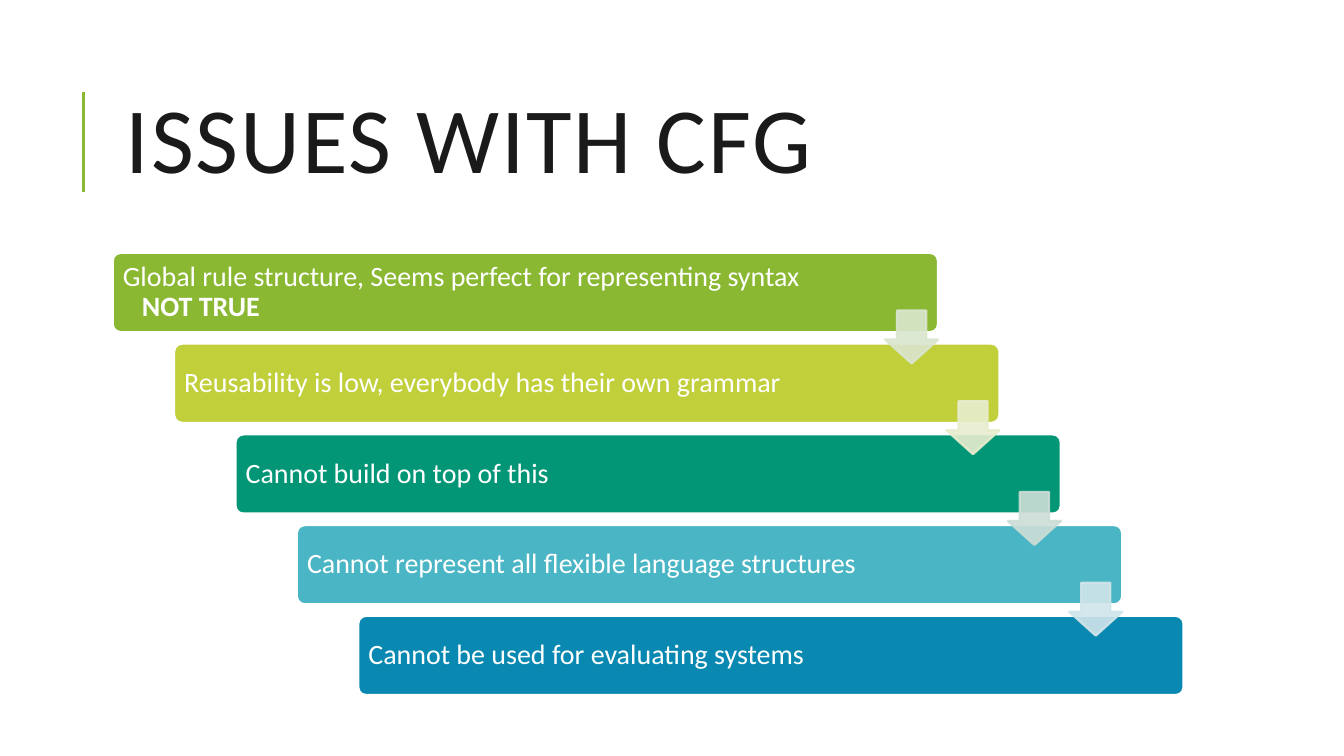
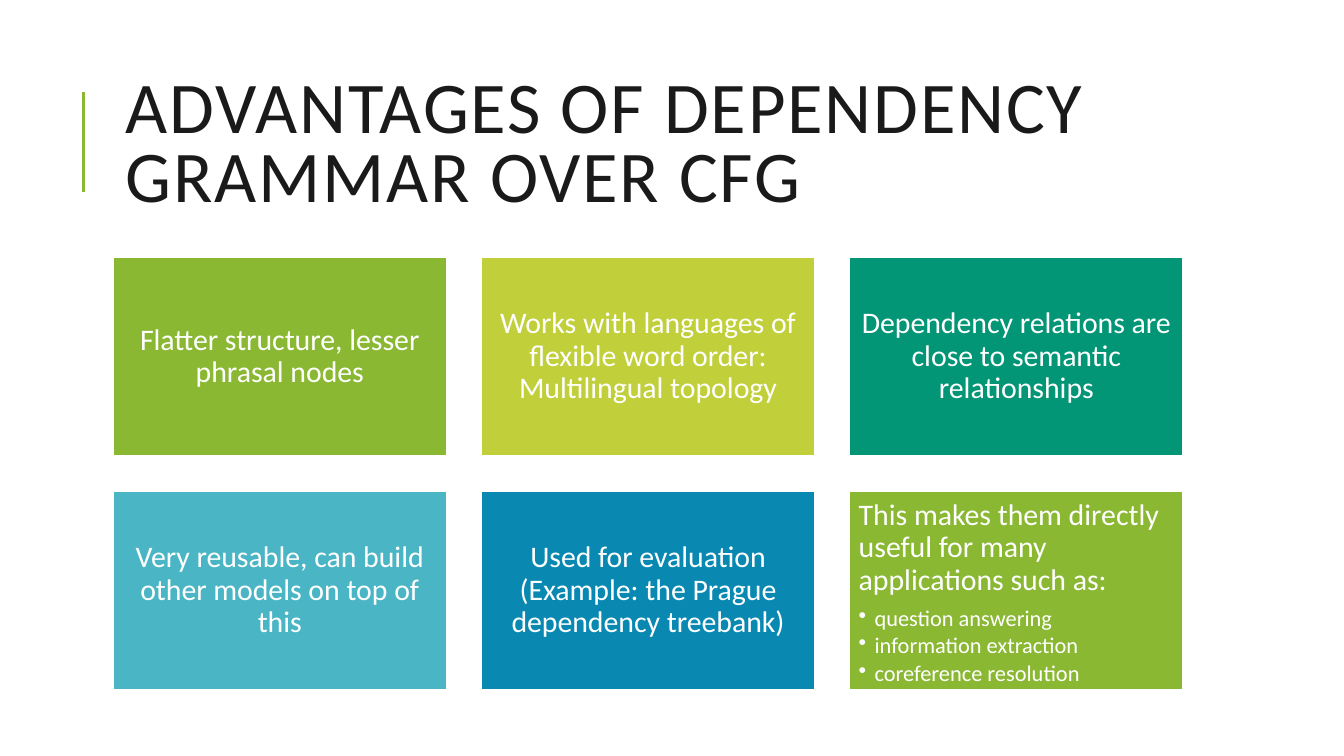
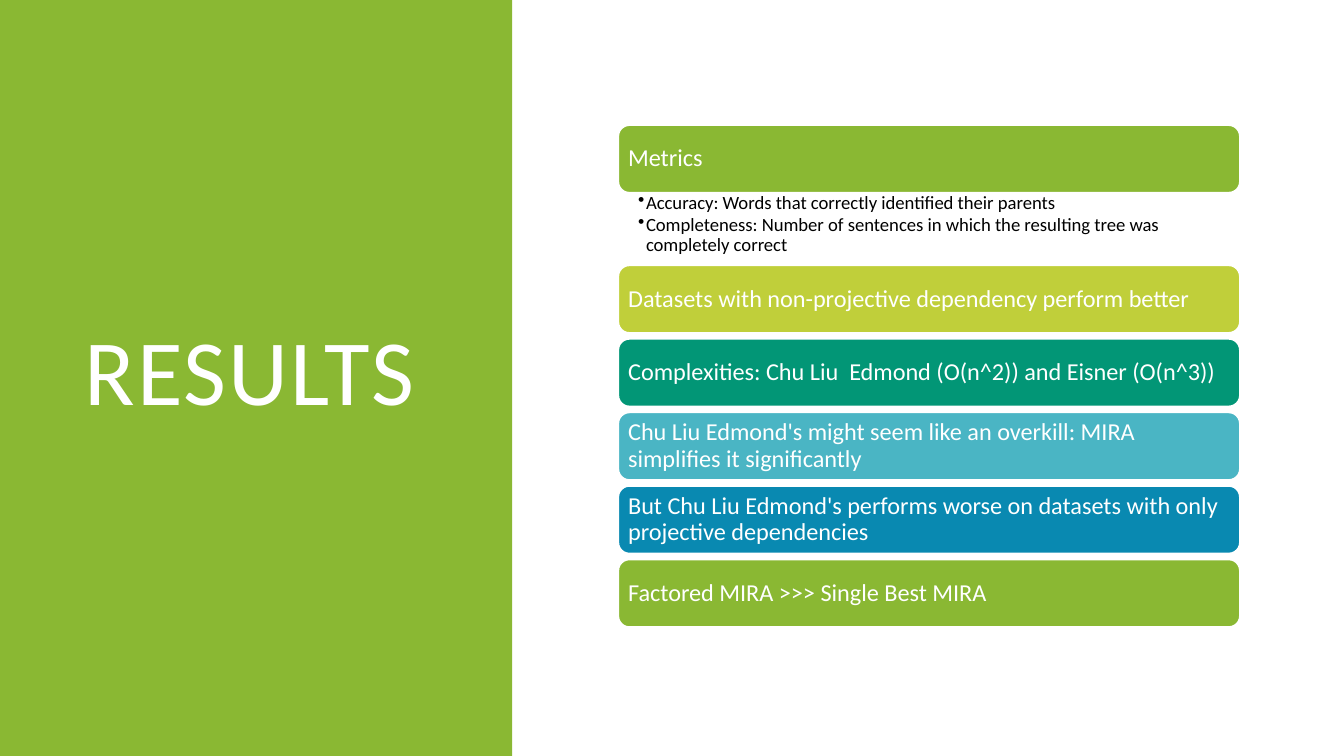
import dataclasses

import lxml.etree
import pptx
import pptx.dml.color
import pptx.enum.shapes
import pptx.enum.text
import pptx.oxml.ns
import pptx.util

Cm = pptx.util.Cm
Pt = pptx.util.Pt
SHAPES = pptx.enum.shapes.MSO_SHAPE
ALIGN = pptx.enum.text.PP_ALIGN
ANCHOR = pptx.enum.text.MSO_ANCHOR

FONT = "Calibri"
WHITE, BLACK, DARK = "FFFFFF", "000000", "1A1A1A"
GREEN, LIME, TEAL, AQUA, BLUE = "8AB833", "C0CF3A", "029676", "4AB5C4", "0989B1"
ACCENTS = [GREEN, LIME, TEAL, AQUA, BLUE]
ARROW_COLORS = ["DAE6CE", "E8EDCE", "CCDDD6", "D0E5EA"]

SLIDE_WIDTH, SLIDE_HEIGHT = 25.4, 14.29
TITLE_BOX = (2.13, 1.22, 20.24, 3.12)


@dataclasses.dataclass
class Line:
    text: str
    size: float
    color: str = WHITE
    bold: bool = False
    indent: float = 0
    bullet: bool = False
    space_after: float = 0


def rgb(color):
    return pptx.dml.color.RGBColor.from_string(color)


def add_xml(parent, tag, **attributes):
    return lxml.etree.SubElement(parent, pptx.oxml.ns.qn(tag), **attributes)


def set_indent(paragraph, indent, bullet):
    properties = paragraph._p.get_or_add_pPr()
    properties.set("marL", str(Cm(indent)))
    if bullet:
        properties.set("indent", str(-Cm(indent)))
        add_xml(properties, "a:buChar", char="•")


def write_lines(shape, lines, insets, align=ALIGN.LEFT, anchor=ANCHOR.MIDDLE, spacing=0.9):
    """Fill a shape with lines; insets are left, top, right, bottom in cm."""
    frame = shape.text_frame
    frame.word_wrap = True
    frame.auto_size = pptx.enum.text.MSO_AUTO_SIZE.NONE
    frame.vertical_anchor = anchor
    frame.margin_left, frame.margin_top, frame.margin_right, frame.margin_bottom = map(Cm, insets)
    for index, line in enumerate(lines):
        paragraph = frame.add_paragraph() if index else frame.paragraphs[0]
        paragraph.text = line.text
        paragraph.alignment = align
        paragraph.line_spacing = spacing
        paragraph.space_before = Pt(0)
        paragraph.space_after = Pt(line.space_after)
        if line.indent:
            set_indent(paragraph, line.indent, line.bullet)
        paragraph.font.name = FONT
        paragraph.font.size = Pt(line.size)
        paragraph.font.bold = line.bold
        paragraph.font.color.rgb = rgb(line.color)


def add_block(slide, kind, box, fill, outline=WHITE):
    shape = slide.shapes.add_shape(kind, *map(Cm, box))
    shape.shadow.inherit = False
    shape.fill.solid()
    shape.fill.fore_color.rgb = rgb(fill)
    if outline:
        shape.line.color.rgb = rgb(outline)
        shape.line.width = Pt(1.25)
    else:
        shape.line.fill.background()
    return shape


def add_title_slide(presentation, text, size, box=TITLE_BOX, color=DARK):
    slide = presentation.slides.add_slide(presentation.slide_layouts[5])
    title = slide.shapes.title
    title.left, title.top, title.width, title.height = map(Cm, box)
    write_lines(title, [Line(text, size, color)], (0.25, 0.13, 0.25, 0.13), spacing=0.8)
    for run in title.text_frame.paragraphs[0].runs:
        run._r.get_or_add_rPr().set("spc", "100")
    return slide


def add_title_rule(slide):
    x, top, bottom = Cm(1.58), Cm(1.73), Cm(3.63)
    rule = slide.shapes.add_connector(pptx.enum.shapes.MSO_CONNECTOR.STRAIGHT, x, bottom, x, top)
    rule.line.color.rgb = rgb(GREEN)
    rule.line.width = Pt(1.5)
    add_xml(rule.element.spPr, "a:effectLst")


def add_step_arrow(slide, box, color):
    arrow = add_block(slide, SHAPES.DOWN_ARROW, box, color, color)
    arrow.adjustments[0], arrow.adjustments[1] = 0.55, 0.45
    for paint in arrow.element.spPr.iter(pptx.oxml.ns.qn("a:srgbClr")):
        add_xml(paint, "a:alpha", val="90000")


def add_staircase(slide, box, steps):
    left, top, width, height = box
    bar_width, bar_height, arrow_size, arrow_drop = 15.6, 1.5, 1, 1.09
    step_x = (width - bar_width) / (len(steps) - 1)
    step_y = (height - bar_height) / (len(steps) - 1)
    for index, (lines, color) in enumerate(zip(steps, ACCENTS)):
        bar_box = (left + index * step_x, top + index * step_y, bar_width, bar_height)
        bar = add_block(slide, SHAPES.ROUNDED_RECTANGLE, bar_box, color)
        bar.adjustments[0] = 0.1
        write_lines(bar, lines, (0.15, 0.15, 1.9, 0.15))
    for index, color in enumerate(ARROW_COLORS):
        arrow_left = left + index * step_x + bar_width - arrow_size
        arrow_top = top + index * step_y + arrow_drop
        add_step_arrow(slide, (arrow_left, arrow_top, arrow_size, arrow_size), color)


def add_card_grid(slide, box, cards, columns=3, gap=0.64):
    """Lay out cards row by row; a card with several lines reads from its top left."""
    left, top, width, height = box
    rows = len(cards) // columns
    card_width = (width - gap * (columns - 1)) / columns
    card_height = (height - gap * (rows - 1)) / rows
    for index, lines in enumerate(cards):
        row, column = divmod(index, columns)
        card_box = (left + column * (card_width + gap), top + row * (card_height + gap),
                    card_width, card_height)
        card = add_block(slide, SHAPES.RECTANGLE, card_box, ACCENTS[index % len(ACCENTS)])
        is_list = len(lines) > 1
        write_lines(card, lines, (0.18,) * 4,
                    ALIGN.LEFT if is_list else ALIGN.CENTER,
                    ANCHOR.TOP if is_list else ANCHOR.MIDDLE)


def add_findings(slide, box, findings):
    """Stack a bar per finding, with its details, if any, beneath it."""
    left, top, width = box
    bar_height, details_height, gap = 1.29, 1.36, 0.1
    for index, (text, details) in enumerate(findings):
        bar = add_block(slide, SHAPES.ROUNDED_RECTANGLE, (left, top, width, bar_height),
                        ACCENTS[index % len(ACCENTS)])
        write_lines(bar, [Line(text, 13)], (0.13,) * 4)
        top += bar_height
        if details:
            text_box = slide.shapes.add_textbox(Cm(left), Cm(top), Cm(width), Cm(details_height))
            lines = [Line(detail, 10, BLACK, indent=0.15, bullet=True, space_after=1)
                     for detail in details]
            write_lines(text_box, lines, (0.38, 0, 0.25, 0), anchor=ANCHOR.TOP)
            top += details_height
        else:
            top += gap


def build_issues_slide(presentation):
    slide = add_title_slide(presentation, "ISSUES WITH CFG", 50)
    add_title_rule(slide)
    steps = [[Line("Global rule structure, Seems perfect for representing syntax", 15),
              Line("NOT TRUE", 15, bold=True, indent=0.36)]]
    steps += [[Line(text, 15)] for text in (
        "Reusability is low, everybody has their own grammar",
        "Cannot build on top of this",
        "Cannot represent all flexible language structures",
        "Cannot be used for evaluating systems",
    )]
    add_staircase(slide, (2.13, 4.78, 20.24, 8.36), steps)


def build_advantages_slide(presentation):
    slide = add_title_slide(presentation, "ADVANTAGES OF DEPENDENCY GRAMMAR OVER CFG", 39)
    add_title_rule(slide)
    cards = [[Line(text, 16)] for text in (
        "Flatter structure, lesser phrasal nodes",
        "Works with languages of flexible word order: Multilingual topology",
        "Dependency relations are close to semantic relationships",
        "Very reusable, can build other models on top of this",
        "Used for evaluation (Example: the Prague dependency treebank)",
    )]
    applications = ("question answering", "information extraction", "coreference resolution")
    cards.append(
        [Line("This makes them directly useful for many applications such as:", 16, space_after=5.6)]
        + [Line(text, 12, indent=0.3, bullet=True, space_after=1.8) for text in applications])
    add_card_grid(slide, (2.13, 4.85, 20.24, 8.2), cards)


def build_results_slide(presentation):
    slide = add_title_slide(presentation, "RESULTS", 50, (1.35, 1.35, 7.11, 11.6), WHITE)
    panel = add_block(slide, SHAPES.RECTANGLE, (0, 0, 9.68, SLIDE_HEIGHT), GREEN, None)
    slide.shapes.title.element.addprevious(panel.element)
    add_findings(slide, (11.68, 2.36, 11.76), [
        ("Metrics", [
            "Accuracy: Words that correctly identified their parents",
            "Completeness: Number of sentences in which the resulting tree was completely correct",
        ]),
        ("Datasets with non-projective dependency perform better", []),
        ("Complexities: Chu Liu  Edmond (O(n^2)) and Eisner (O(n^3))", []),
        ("Chu Liu Edmond's might seem like an overkill: MIRA simplifies it significantly", []),
        ("But Chu Liu Edmond's performs worse on datasets with only projective dependencies", []),
        ("Factored MIRA >>> Single Best MIRA", []),
    ])


def main():
    presentation = pptx.Presentation()
    presentation.slide_width = Cm(SLIDE_WIDTH)
    presentation.slide_height = Cm(SLIDE_HEIGHT)
    build_issues_slide(presentation)
    build_advantages_slide(presentation)
    build_results_slide(presentation)
    presentation.save("out.pptx")


if __name__ == "__main__":
    main()
